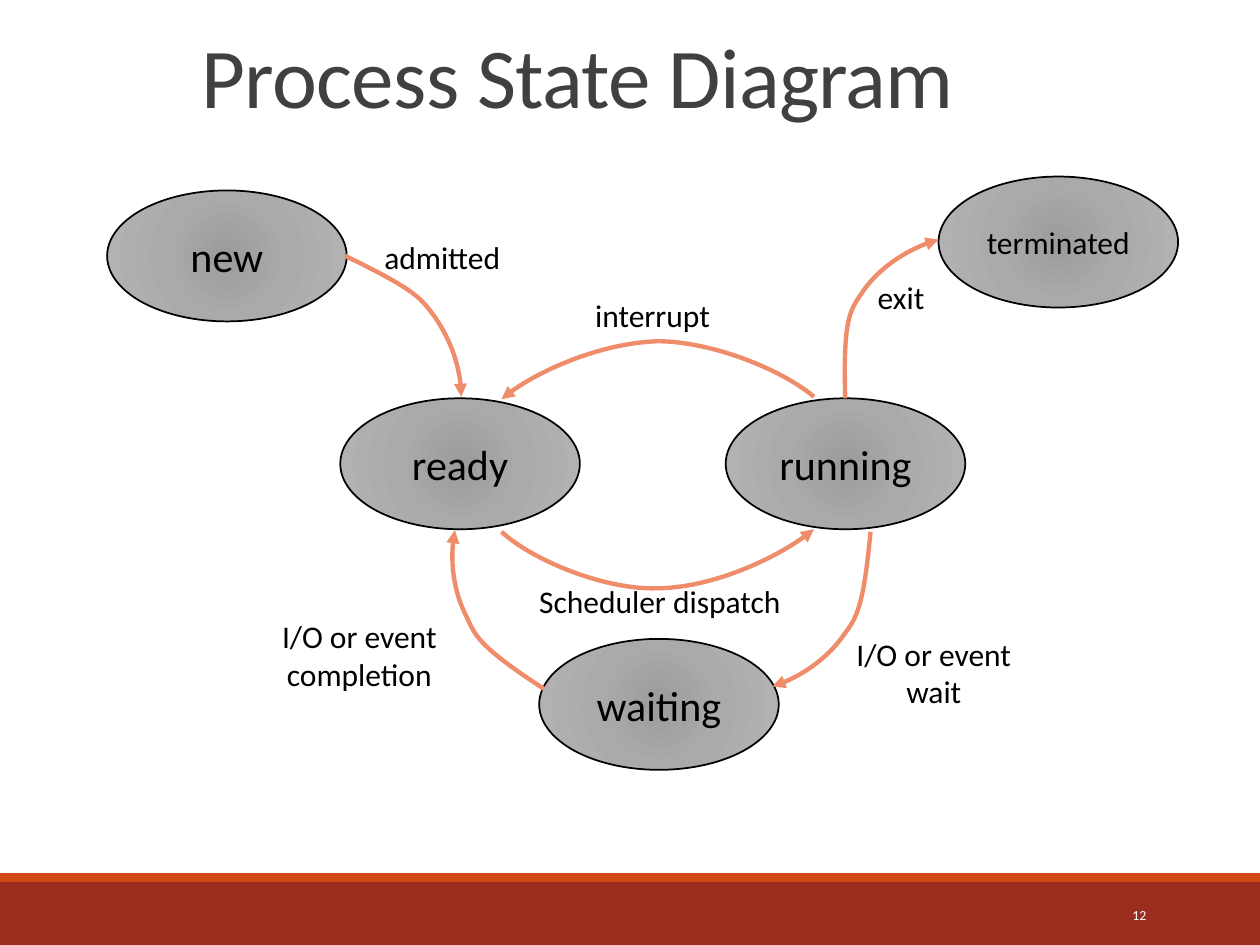
"""Build a slide with the process state diagram."""
from lxml import etree
from pptx import Presentation
from pptx.dml.color import RGBColor
from pptx.enum.shapes import MSO_SHAPE
from pptx.enum.text import MSO_ANCHOR, PP_ALIGN
from pptx.oxml import parse_xml
from pptx.oxml.ns import nsdecls, qn
from pptx.util import Cm, Pt

RECT, OVAL = MSO_SHAPE.RECTANGLE, MSO_SHAPE.OVAL
MIDDLE, BOTTOM = MSO_ANCHOR.MIDDLE, MSO_ANCHOR.BOTTOM
LEFT, CENTER, RIGHT = PP_ALIGN.LEFT, PP_ALIGN.CENTER, PP_ALIGN.RIGHT

COLORS = {"title": "404040", "text": "000000", "page": "FFFFFF", "bar": "9B2D1F",
          "strip": "D34817", "arrow": "EF8C6A",
          "core": "9C9C9C", "mid": "AAAAAA", "rim": "B4B4B4"}
STOPS = [(0, "core"), (45, "mid"), (100, "rim")]


def tint(name):
    return RGBColor.from_string(COLORS[name])


def write(shape, text, size, color="text", align=CENTER):
    frame = shape.text_frame
    frame.text = text
    for para in frame.paragraphs:
        para.alignment = align
        para.font.name = "Calibri"
        para.font.size = Pt(size)
        para.font.color.rgb = tint(color)
    return frame


prs = Presentation()
prs.slide_width, prs.slide_height = Cm(25.4), Cm(19.05)
slide = prs.slides.add_slide(prs.slide_layouts[5])
shapes = slide.shapes

for top, height, name in [(17.78, 1.27, "bar"), (17.6, 0.18, "strip")]:
    band = shapes.add_shape(RECT, 0, Cm(top), prs.slide_width, Cm(height))
    band.shadow.inherit = False
    band.fill.solid()
    band.fill.fore_color.rgb = tint(name)
    band.line.fill.background()

title = shapes.title
title.left, title.top, title.width, title.height = Cm(3.81), Cm(0.66), Cm(21.59), Cm(2)
frame = write(title, "Process State Diagram", 48.6, "title", LEFT)
frame.vertical_anchor = BOTTOM
frame.paragraphs[0].line_spacing = 0.85
frame.paragraphs[0].runs[0].font._element.set("spc", "-40")

number = shapes.add_textbox(Cm(20.62), Cm(17.93), Cm(2.74), Cm(1.02))
write(number, "12", 7.9, "page", RIGHT).vertical_anchor = MIDDLE

grades = "".join(f'<a:gs pos="{pos * 1000}"><a:srgbClr val="{COLORS[name]}"/></a:gs>'
                 for pos, name in STOPS)
radial = (f'<a:gradFill {nsdecls("a")}><a:gsLst>{grades}</a:gsLst><a:path path="circle">'
          '<a:fillToRect l="50000" t="50000" r="50000" b="50000"/></a:path></a:gradFill>')

STATES = [
    ("new", 2.16, 3.84, 24), ("waiting", 10.87, 12.88, 24), ("ready", 6.86, 8.03, 24),
    ("running", 14.63, 8.03, 24), ("terminated", 18.92, 3.56, 18),
]
for text, left, top, size in STATES:
    state = shapes.add_shape(OVAL, Cm(left), Cm(top), Cm(4.83), Cm(2.64))
    state.shadow.inherit = False
    state._element.spPr.find(qn("a:prstGeom")).addnext(parse_xml(radial))
    state.line.color.rgb = tint("text")
    state.line.width = Pt(1)
    frame = write(state, text, size)
    frame.vertical_anchor = MIDDLE
    frame.word_wrap = False

CURVES = [
    [(16.41, 8), (15.75, 7.44), (14.33, 6.88), (13.26, 6.88),
     (12.22, 6.91), (10.74, 7.49), (10.11, 8.05)],
    [(10.11, 10.72), (10.74, 11.3), (12.19, 11.89), (13.23, 11.86),
     (14.27, 11.86), (15.75, 11.23), (16.41, 10.67)],
    [(17.04, 8.03), (16.99, 6.35), (17.15, 6.25), (17.4, 5.87),
     (17.65, 5.51), (18.21, 5.03), (18.92, 4.83)],
    [(10.97, 13.89), (9.6, 13), (9.58, 12.8), (9.4, 12.42),
     (9.19, 12.01), (9.04, 11.33), (9.17, 10.69)],
    [(17.55, 10.72), (17.4, 12.34), (17.25, 12.47), (16.99, 12.83),
     (16.74, 13.18), (16.21, 13.64), (15.57, 13.84)],
    [(6.96, 5.16), (8.43, 5.87), (8.48, 6.02), (8.76, 6.38),
     (9.02, 6.76), (9.3, 7.37), (9.3, 8)],
]
for curve in CURVES:
    start, *rest = [(Cm(x), Cm(y)) for x, y in curve]
    pen = shapes.build_freeform(*start)
    pen.add_line_segments(rest, close=False)
    arrow = pen.convert_to_shape()
    arrow.shadow.inherit = False
    arrow.fill.background()
    arrow.line.color.rgb = tint("arrow")
    arrow.line.width = Pt(2.5)
    route = arrow._element.spPr.find(".//" + qn("a:path"))
    legs = route.findall(qn("a:lnTo"))
    for first in (0, 3):
        bend = etree.SubElement(route, qn("a:cubicBezTo"))
        for leg in legs[first:first + 3]:
            bend.append(leg[0])
            route.remove(leg)
    etree.SubElement(arrow.line._get_or_add_ln(), qn("a:tailEnd"), type="triangle")

LABELS = [
    ("interrupt", 10.74, 5.84, 4.83, 1.02), ("exit", 15.75, 5.49, 4.83, 1.02),
    ("admitted", 6.5, 4.67, 4.83, 1.02),
    ("I/O or event\nwait", 16.41, 12.67, 4.83, 1.8),
    ("I/O or event\ncompletion", 4.83, 12.32, 4.83, 1.8),
    ("Scheduler dispatch", 10.13, 11.61, 6.35, 1.02),
]
for text, *spot in LABELS:
    label = shapes.add_textbox(*map(Cm, spot))
    write(label, text, 18).word_wrap = True

prs.save("out.pptx")
